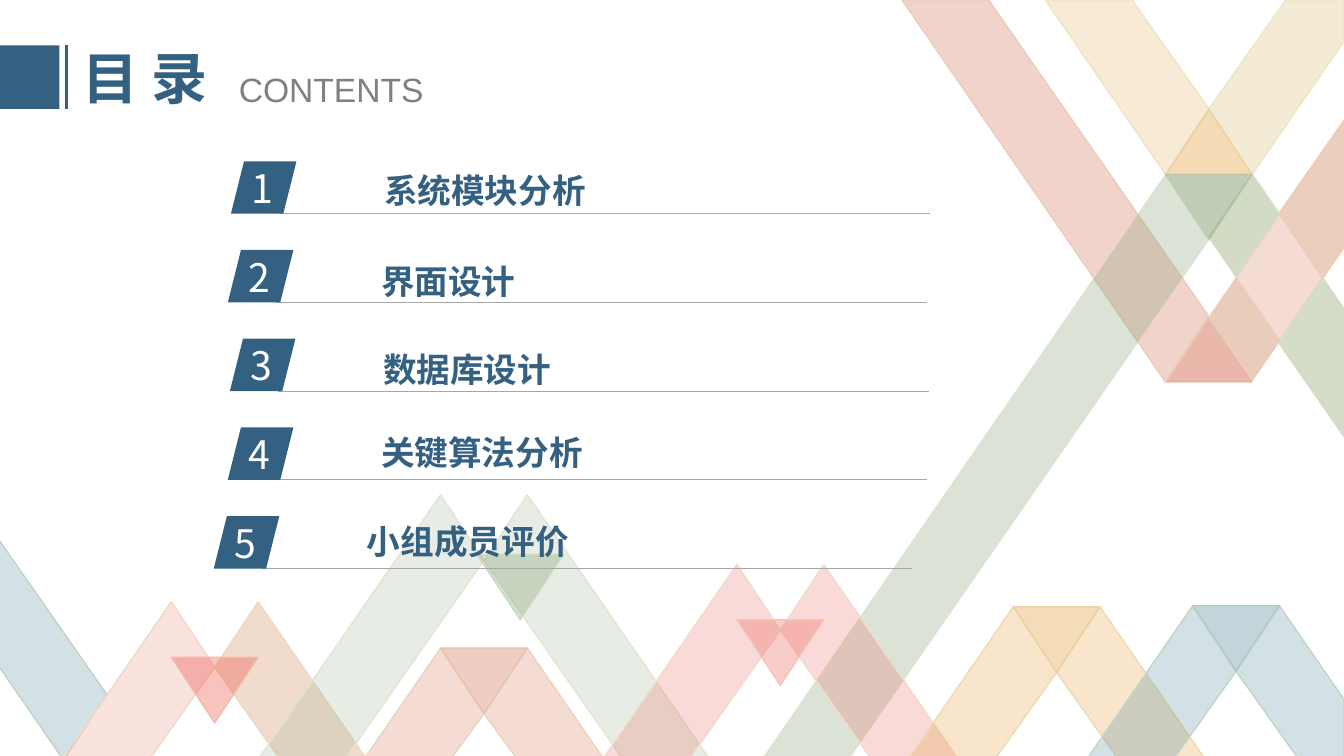
from dataclasses import dataclass

from lxml.etree import SubElement
from pptx import Presentation
from pptx.dml.color import RGBColor
from pptx.enum.shapes import MSO_CONNECTOR, MSO_SHAPE
from pptx.enum.text import MSO_ANCHOR, MSO_AUTO_SIZE, PP_ALIGN
from pptx.oxml.ns import qn
from pptx.util import Inches, Pt


@dataclass(frozen=True)
class Theme:
    navy: str = "346182"
    gray: str = "808080"
    rule: str = "A6A6A6"
    white: str = "FFFFFF"
    clay: str = "D57053"
    coral: str = "ED6F65"
    amber: str = "E49B35"
    sage: str = "A2B894"
    moss: str = "88A378"
    teal: str = "508799"
    blush: str = "F1DBCC"
    cjk: str = "Noto Sans CJK SC"
    latin: str = "Arial"
    title: int = 40
    number: int = 28
    body: int = 24


T = Theme()
WIDTH, HEIGHT = 13.33, 7.5
SLOPE = 1.45  # rise over run of every ribbon
HALF = 0.43  # half the horizontal width of a ribbon
CUT = 0.65  # height of a ribbon's slanted end
BLEED = 0.04

# Left peak, fill, right fill and opacity, edge, overlap offset, overlap fill and edge
PEAKS = [
    (1.7, 5.97, "EE8F82", T.blush, 100, "EED9C6", 0, 0.55, "ED5249", "EFBBAB"),
    (4.37, 4.91, T.sage, T.sage, 25, "E0E6D3", 0.36, 0.59, "89A67A", "CFDAC2"),
    (4.37, 6.43, T.clay, T.clay, 25, "EAD3BF", 0, 0, T.clay, "E6C6B1"),
    (7.31, 5.6, T.coral, T.coral, 25, T.blush, 0, 0.55, T.coral, "F2C7BA"),
    (10.05, 6.02, T.amber, T.amber, 25, "EBDCB0", 0, 0, T.amber, "EBD3A3"),
    (11.83, 6.01, T.teal, T.teal, 25, "C4D5C6", 0, 0, T.teal, "B5CAC1"),
]

# Label, left of its row, drop of the label, line spacing
AGENDA = [
    ("系统模块分析", 2.29, 0.04, 1),
    ("界面设计", 2.26, 0.06, 1),
    ("数据库设计", 2.28, -0.15, 1.5),
    ("关键算法分析", 2.26, 0, 1),
    ("小组成员评价", 2.12, 0, 1),
]


def paint(fill, color, opacity=100):
    fill.solid()
    fill.fore_color.rgb = RGBColor.from_string(color)
    if opacity < 100:
        for srgb in fill._xPr.iter(qn("a:srgbClr")):
            SubElement(srgb, qn("a:alpha")).set("val", str(opacity * 1000))


def add_block(shapes, preset, x, y, width, height):
    block = shapes.add_shape(preset, *map(Inches, (x, y, width, height)))
    block.shadow.inherit = False
    paint(block.fill, T.navy)
    block.line.fill.background()


def add_rule(shapes, start, end, color, weight):
    rule = shapes.add_connector(MSO_CONNECTOR.STRAIGHT, *map(Inches, start + end))
    paint(rule.line.fill, color)
    rule.line.width = Pt(weight)
    SubElement(rule._element.spPr, qn("a:effectLst"))


def add_text(shapes, text, box, size, color, font=T.cjk, bold=False,
             align=PP_ALIGN.LEFT, wrap=True, anchor=MSO_ANCHOR.TOP, spacing=None):
    frame = shapes.add_textbox(*map(Inches, box)).text_frame
    frame.text = text
    frame.word_wrap = wrap
    frame.auto_size = MSO_AUTO_SIZE.SHAPE_TO_FIT_TEXT
    frame.vertical_anchor = anchor
    paragraph = frame.paragraphs[0]
    paragraph.alignment = align
    paragraph.line_spacing = spacing
    run_font = paragraph.runs[0].font
    run_font.size, run_font.bold, run_font.name = Pt(size), bold, font
    run_font.color.rgb = RGBColor.from_string(color)
    SubElement(run_font._element, qn("a:ea")).set("typeface", font)


def triangle(x, y, direction):
    """Flat side centred on x at height y; direction 1 points down, -1 up."""
    return [(x - HALF, y), (x + HALF, y), (x, y + direction * CUT)]


def band(x, y, side, end):
    """Ribbon from the tip x, y towards one side until the height end."""
    away = 1 if end > y else -1
    far = x + side * abs(end - y) / SLOPE
    return [(x, y), (x - side * HALF, y + away * CUT), (far - side * 2 * HALF, end), (far, end)]


def diamond(x, y, right, left):
    """Crossing of two ribbons below x, y, with the runs of its two sides."""
    return [(x, y), (x + right, y + right * SLOPE),
            (x + right - left, y + (right + left) * SLOPE), (x - left, y + left * SLOPE)]


def trim(points, edge, side):
    """Cut the outline at a vertical slide edge; side 1 is the right one."""
    kept = []
    for (x1, y1), (x2, y2) in zip(points, points[1:] + points[:1]):
        if side * (x1 - edge) <= 0:
            kept.append((x1, y1))
        if (x1 - edge) * (x2 - edge) < 0:
            kept.append((edge, y1 + (y2 - y1) * (edge - x1) / (x2 - x1)))
    return kept


def add_ribbon(shapes, points, color, opacity, edge, edge_opacity=100):
    points = trim(trim(points, WIDTH, 1), -BLEED, -1)
    start, *rest = [(Inches(x), Inches(y)) for x, y in points]
    outline = shapes.build_freeform(*start)
    outline.add_line_segments(rest, close=True)
    ribbon = outline.convert_to_shape()
    ribbon.shadow.inherit = False
    paint(ribbon.fill, color, opacity)
    paint(ribbon.line.fill, edge, edge_opacity)
    ribbon.line.width = Pt(1)


def draw_lattice(shapes, x, top):
    """Crossing ribbons at the upper right, centred on x."""
    left, right = x - HALF, x + HALF
    upper, lower, middle = top + 1.73, top + 3.79, top + 2.76
    outer = right + 0.7
    cross = right + 0.27
    add_ribbon(shapes, triangle(x, lower, -1), T.clay, 49, "DF9B83", 49)
    add_ribbon(shapes, band(left, upper, -1, top), "E7B05E", 25, "EFE3C2")
    add_ribbon(shapes, band(right, upper, 1, top), "EFE3C2", 71, "EEE6C8")
    add_ribbon(shapes, diamond(cross, top + 2.13, HALF, HALF), T.clay, 25, "EAD3BE")
    add_ribbon(shapes, band(outer, middle, 1, top), "EBCEBC", 100, "EACDBA")
    add_ribbon(shapes, diamond(right, upper, 0.27, HALF), "D2DBC4", 100, "D3DDC7")
    add_ribbon(shapes, diamond(cross - HALF, middle, HALF, 0.27), "E9CCBA", 100, "EACDBB")
    add_ribbon(shapes, band(outer, middle, 1, HEIGHT), "D3DDC7", 100, "D3DCC6")
    add_ribbon(shapes, triangle(x, upper, -1), T.amber, 36, "EBD09D", 36)
    add_ribbon(shapes, triangle(x, upper, 1), T.moss, 53, "B3C4A5", 53)
    add_ribbon(shapes, band(left, lower, -1, top), T.clay, 30, "EACEBC")
    add_ribbon(shapes, band(left, upper, -1, HEIGHT + BLEED), T.moss, 30, "D3DCC5", 30)


def draw_peaks(shapes, floor):
    """Zigzag of ribbons standing on the floor."""
    add_ribbon(shapes, band(0.63, floor, -1, floor - 3), T.teal, 25, "C3D4C3")
    for x, y, color, right_color, opacity, edge, dx, dy, overlap, overlap_edge in PEAKS:
        add_ribbon(shapes, band(x, y, -1, floor), color, 25, edge)
        add_ribbon(shapes, band(x + 2 * HALF, y, 1, floor), right_color, opacity, edge)
        add_ribbon(shapes, triangle(x + HALF + dx, y + dy, 1), overlap, 35, overlap_edge)


def draw_header(shapes, left, top):
    add_block(shapes, MSO_SHAPE.RECTANGLE, left, top, 0.59, 0.63)
    add_rule(shapes, (left + 0.66, top), (left + 0.66, top + 0.63), T.navy, 2.25)
    add_text(shapes, "目 录", (left + 0.72, top - 0.07, 1.54, 0.77), T.title, T.navy,
             bold=True, anchor=MSO_ANCHOR.MIDDLE)
    add_text(shapes, "CONTENTS", (left + 2.27, top + 0.18, 2.5, 0.5), T.body, T.gray, T.latin)


def draw_agenda_row(shapes, number, label, left, top, drop, spacing):
    # Numbered tab with its underline
    tab = shapes.add_group_shape().shapes
    base = top + 0.52
    add_rule(tab, (left + 0.48, base), (left + 6.93, base), T.rule, 0.5)
    add_block(tab, MSO_SHAPE.PARALLELOGRAM, left, top, 0.65, 0.52)
    add_text(tab, str(number), (left, top - 0.02, 0.63, 0.57), T.number, T.white,
             align=PP_ALIGN.CENTER)
    # Label, as wide as its characters
    label_width = 0.2 + len(label) * T.body / 72
    add_text(shapes, label, (left + 1.42, top + drop, label_width, 0.5 * spacing),
             T.body, T.navy, bold=True, align=PP_ALIGN.CENTER, wrap=False, spacing=spacing)


def main():
    deck = Presentation()
    deck.slide_width, deck.slide_height = Inches(WIDTH), Inches(HEIGHT)
    shapes = deck.slides.add_slide(deck.slide_layouts[6]).shapes
    draw_lattice(shapes, 11.99, 0)
    draw_peaks(shapes, HEIGHT + BLEED)
    draw_header(shapes, 0, 0.45)
    for index, (label, left, drop, spacing) in enumerate(AGENDA):
        draw_agenda_row(shapes, index + 1, label, left, 1.6 + 0.88 * index, drop, spacing)
    deck.save("out.pptx")


if __name__ == "__main__":
    main()
